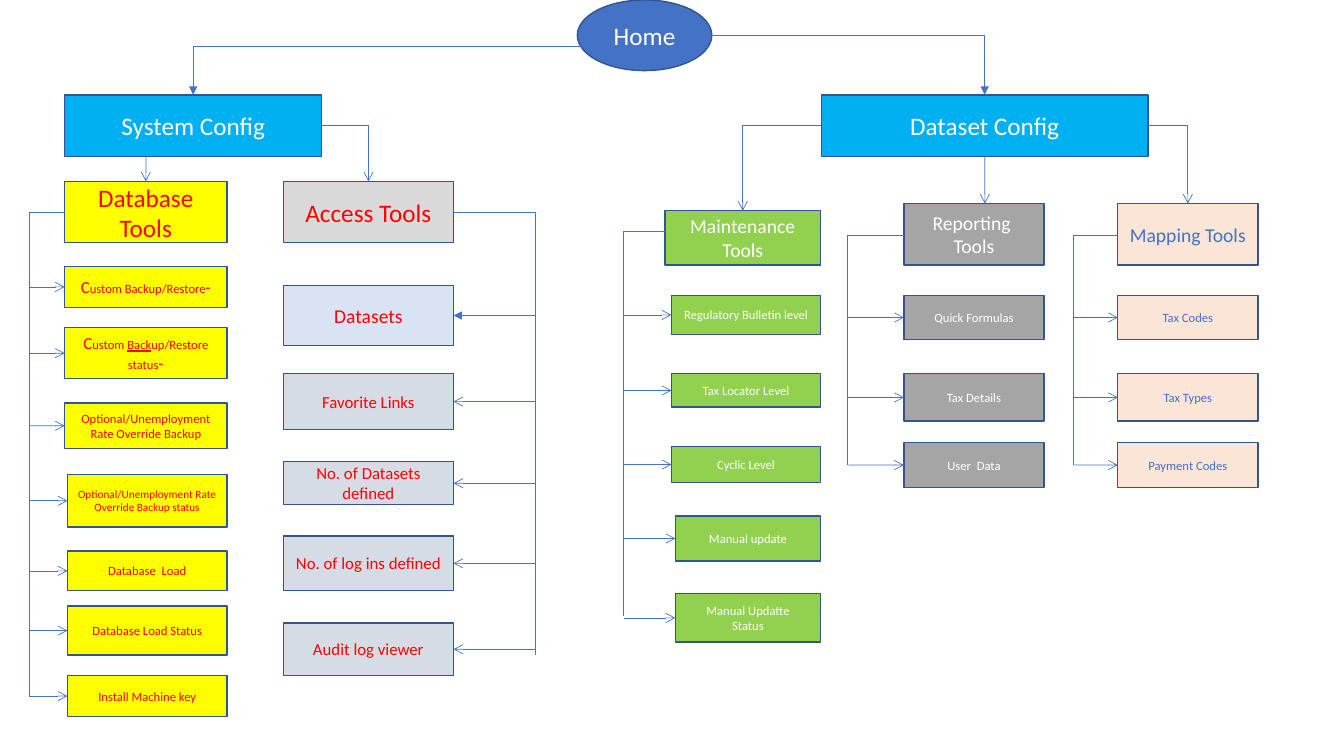
import pptx
import pptx.dml.color
import pptx.enum.shapes
import pptx.enum.text
import pptx.oxml.ns
import pptx.util
from lxml import etree
from pptx.util import Cm

RECTANGLE = pptx.enum.shapes.MSO_SHAPE.RECTANGLE
OVAL = pptx.enum.shapes.MSO_SHAPE.OVAL
TOP, LEFT, BOTTOM, RIGHT = range(4)
BLUE, WHITE, RED = "4472C4", "FFFFFF", "FF0000"
rgb = pptx.dml.color.RGBColor.from_string

presentation = pptx.Presentation()
presentation.slide_width = Cm(33.87)
presentation.slide_height = Cm(19.05)
slide = presentation.slides.add_slide(presentation.slide_layouts[6])


def box(content, left, top, right, height, fill, color, size, kind=RECTANGLE):
    """Add a labelled node; content is a string or (text, size, underline) runs."""
    node = slide.shapes.add_shape(kind, Cm(left), Cm(top), Cm(right - left), Cm(height))
    node.shadow.inherit = False
    node.fill.solid()
    node.fill.fore_color.rgb = rgb(fill)
    node.line.color.rgb = rgb("325491")
    node.line.width = pptx.util.Pt(1)
    node.text_frame.word_wrap = True
    node.text_frame.vertical_anchor = pptx.enum.text.MSO_ANCHOR.MIDDLE
    label = node.text_frame.paragraphs[0]
    label.alignment = pptx.enum.text.PP_ALIGN.CENTER
    label.font.name = "Calibri"
    label.font.color.rgb = rgb(color)
    if isinstance(content, str):
        label.text = content
        label.font.size = pptx.util.Pt(size)
    else:
        for text, run_size, underline in content:
            run = label.add_run()
            run.text = text
            run.font.size = pptx.util.Pt(run_size)
            if underline:
                run.font.underline = True
    return node


def link(begin, end, head="arrow", bent=False):
    """Join two ends, each an (x, y) point in cm or a (node, side) pair."""
    kinds = pptx.enum.shapes.MSO_CONNECTOR
    points = [(0, 0) if hasattr(place, "text_frame") else (place, side)
              for place, side in (begin, end)]
    line = slide.shapes.add_connector(kinds.ELBOW if bent else kinds.STRAIGHT,
                                      *[Cm(value) for point in points for value in point])
    if hasattr(begin[0], "text_frame"):
        line.begin_connect(*begin)
    if hasattr(end[0], "text_frame"):
        line.end_connect(*end)
    line.line.color.rgb = rgb(BLUE)
    line.line.width = pptx.util.Pt(0.5)
    properties = line._element.spPr
    if bent:  # one corner: across, then down
        properties.find(pptx.oxml.ns.qn("a:prstGeom")).set("prst", "bentConnector2")
    if head:
        etree.SubElement(line.line._get_or_add_ln(), pptx.oxml.ns.qn("a:tailEnd"), type=head)
    etree.SubElement(properties, pptx.oxml.ns.qn("a:effectLst"))


box("Home", 14.55, 0, 17.94, 1.78, BLUE, WHITE, 18, OVAL)
system = box("System Config", 1.63, 2.39, 8.11, 1.55, "00B0F0", WHITE, 18)
dataset = box("Dataset Config", 20.7, 2.39, 28.93, 1.55, "00B0F0", WHITE, 18)
link((14.7, 1.17), (system, TOP), "triangle", bent=True)
link((17.94, 0.89), (dataset, TOP), "triangle", bent=True)

custom_backup = [("C", 12, False), ("ustom Backup/Restore", 9, False), ("-", 12, False)]
custom_status = [("C", 12, False), ("ustom ", 9, False), ("Back", 9, True),
                 ("up/Restore status", 9, False), ("-", 12, False)]

# heading, its left, top, right, height, size; fill, text colour;
# trunk x, top, bottom; items as (text, left, top, height, size, fill)
branches = [
    (("Database Tools", 1.63, 4.57, 5.72, 1.55, 18), "FFFF00", RED, (0.74, 5.36, 17.53), [
        (custom_backup, 1.63, 6.71, 1.04, 9, "FFFF00"),
        (custom_status, 1.63, 8.26, 1.28, 9, "FFFF00"),
        ("Optional/Unemployment Rate Override Backup", 1.63, 10.16, 1.14, 9, "FFFF00"),
        ("Optional/Unemployment Rate Override Backup status", 1.7, 11.96, 1.32, 8, "FFFF00"),
        ("Database  Load", 1.7, 13.89, 0.99, 9, "FFFF00"),
        ("Database Load Status", 1.7, 15.27, 1.24, 9, "FFFF00"),
        ("Install Machine key", 1.7, 17.02, 1.04, 9, "FFFF00")]),
    (("Access Tools", 7.14, 4.57, 11.43, 1.55, 18), "D9D9D9", RED, (13.49, 5.36, 16.51), [
        ("Datasets", 7.14, 7.19, 1.52, 14, "DAE3F3"),
        ("Favorite Links", 7.14, 9.42, 1.4, 12, "D6DCE5"),
        ("No. of Datasets\vdefined", 7.14, 11.63, 1.09, 12, "D6DCE5"),
        ("No. of log ins defined", 7.14, 13.51, 1.37, 12, "D6DCE5"),
        ("Audit log viewer", 7.14, 15.7, 1.32, 12, "D6DCE5")]),
    (("Maintenance Tools", 16.76, 5.31, 20.68, 1.37, 14), "92D050", WHITE, (15.72, 5.82, 15.52), [
        ("Regulatory Bulletin level", 16.92, 7.44, 0.99, 9, "92D050"),
        ("Tax Locator Level", 16.92, 9.42, 0.84, 9, "92D050"),
        ("Cyclic Level", 16.92, 11.25, 0.91, 9, "92D050"),
        ("Manual update", 17.02, 13, 1.14, 9, "92D050"),
        ("Manual Updatte\vStatus", 17.02, 14.96, 1.22, 9, "92D050")]),
    (("Reporting \vTools", 22.78, 5.13, 26.31, 1.55, 14), "A5A5A5", WHITE, (21.36, 5.92, 11.71), [
        ("Quick Formulas", 22.78, 7.44, 1.12, 9, "A5A5A5"),
        ("Tax Details", 22.78, 9.42, 1.19, 9, "A5A5A5"),
        ("User  Data", 22.78, 11.15, 1.14, 9, "A5A5A5")]),
    (("Mapping Tools", 28.17, 5.13, 31.7, 1.55, 14), "FBE5D6", BLUE, (27.05, 5.92, 11.71), [
        ("Tax Codes", 28.17, 7.44, 1.12, 9, "FBE5D6"),
        ("Tax Types", 28.17, 9.42, 1.19, 9, "FBE5D6"),
        ("Payment Codes", 28.17, 11.15, 1.14, 9, "FBE5D6")]),
]

headings = []
for heading, heading_fill, color, trunk, items in branches:
    title, left, top, right, height, title_size = heading
    trunk_x, trunk_top, trunk_bottom = trunk
    headings.append(box(title, left, top, right, height, heading_fill, color, title_size))
    side, edge = (LEFT, left) if trunk_x < left else (RIGHT, right)
    link((edge, trunk_top), (trunk_x, trunk_bottom), head=None, bent=True)
    for text, item_left, item_top, item_height, size, fill in items:
        item = box(text, item_left, item_top, right, item_height, fill, color, size)
        head = "triangle" if text == "Datasets" else "arrow"
        link((trunk_x, item_top + item_height / 2), (item, side), head)

database, access, maintenance, reporting, mapping = headings
link((3.68, 3.94), (database, TOP))
link((system, RIGHT), (access, TOP), bent=True)
link((dataset, LEFT), (maintenance, TOP), bent=True)
link((dataset, BOTTOM), (24.82, 5.13))
link((dataset, RIGHT), (mapping, TOP), bent=True)

presentation.save("out.pptx")
